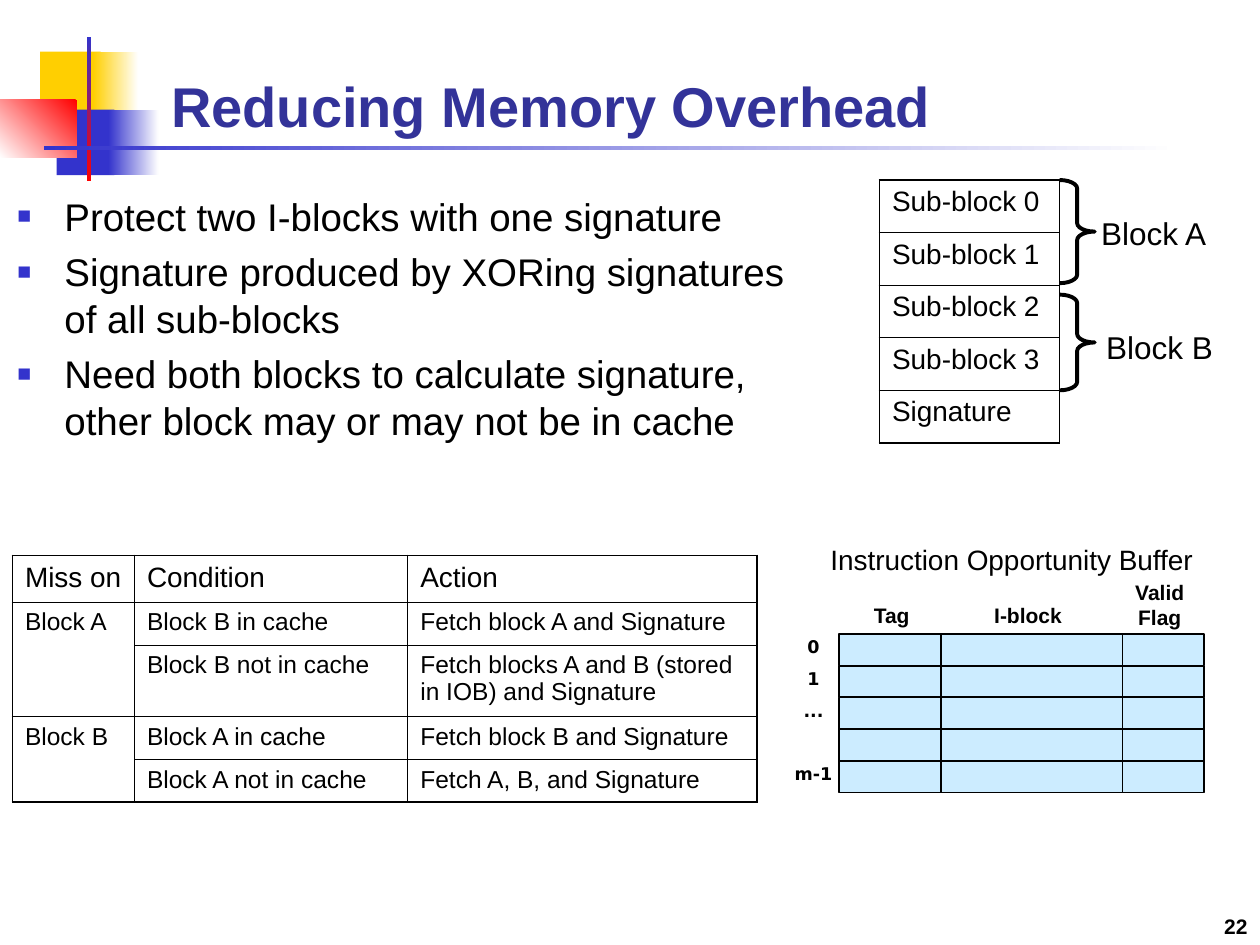
import pptx
import pptx.util
import pptx.dml.color
import pptx.enum.shapes
import pptx.enum.text
import pptx.oxml
import pptx.oxml.ns
import lxml.etree

Cm, Pt = pptx.util.Cm, pptx.util.Pt
SHAPE = pptx.enum.shapes.MSO_SHAPE
ALIGN = pptx.enum.text.PP_ALIGN
ANCHOR = pptx.enum.text.MSO_ANCHOR
qn = pptx.oxml.ns.qn

COLORS = {"yellow": "FFCF01", "blue": "3333CC", "red": "FF0000", "white": "FFFFFF",
          "title": "333399", "text": "000000", "cell": "CCECFF"}

ORNAMENTS = [
    ((0.81, 1.04, 1.22, 1.32), "yellow", None, 0),
    ((1.88, 1.04, 0.91, 1.32), "yellow", "white", 0),
    ((1.14, 2.21, 1.17, 1.32), "blue", None, 0),
    ((2.18, 2.21, 1.02, 1.32), "blue", "white", 0),
    ((0, 2.01, 1.55, 1.17), "red", "white", 225),
    ((1.75, 0.74, 0.09, 2.92), "blue", "red", 270),
    ((0.89, 2.95, 22.86, 0.08), "blue", "white", 0),
]
TITLE = "Reducing Memory Overhead"
BULLETS = [
    "Protect two I-blocks with one signature",
    "Signature produced by XORing signatures\nof all sub-blocks",
    "Need both blocks to calculate signature,\nother block may or may not be in cache",
]
LAYOUT_ROWS = [["Sub-block 0"], ["Sub-block 1"], ["Sub-block 2"], ["Sub-block 3"], ["Signature"]]
BRACES = [
    ("Block A", (21.36, 3.63, 0.71, 2.08), (21.95, 4.19, 2.87, 1.02)),
    ("Block B", (21.36, 5.94, 0.71, 1.93), (22.05, 6.48, 2.87, 1.02)),
]
MISS_ROWS = [
    ["Miss on", "Condition", "Action"],
    ["Block A", "Block B in cache", "Fetch block A and Signature"],
    [None, "Block B not in cache", "Fetch blocks A and B (stored in IOB) and Signature"],
    ["Block B", "Block A in cache", "Fetch block B and Signature"],
    [None, "Block A not in cache", "Fetch A, B, and Signature"],
]
BUFFER_TITLE = "Instruction Opportunity Buffer"
BUFFER_HEADS = [
    ("Tag", (17.02, 12.14, 1.91, 0.51)),
    ("I-block", (18.97, 12.14, 3.51, 0.51)),
    ("Valid\nFlag", (22.58, 11.68, 1.6, 1.02)),
]
BUFFER_COLUMNS = [(16.92, 2.06), (18.97, 3.76), (22.63, 1.65)]
BUFFER_ROWS = ["0", "1", "...", None, "m-1"]
BUFFER_TOP, BUFFER_PITCH = 12.78, 0.64
PAGE = "22"


def rgb(name):
    return pptx.dml.color.RGBColor.from_string(COLORS[name])


def write(p, text, size, bold=False, color="text", font="Arial", before=0, align=ALIGN.LEFT):
    p.alignment = align
    p.space_before = Pt(before)
    for i, line in enumerate(text.split("\n")):
        if i:
            p.add_line_break()
        r = p.add_run()
        r.text = line
        r.font.size = Pt(size)
        r.font.bold = bold
        r.font.name = font
        r.font.color.rgb = rgb(color)


def add_frame(box, inset=True, anchor=ANCHOR.TOP):
    tf = s.shapes.add_textbox(*map(Cm, box)).text_frame
    tf.word_wrap = True
    tf.vertical_anchor = anchor
    if not inset:
        tf.margin_left = tf.margin_right = tf.margin_top = tf.margin_bottom = 0
    return tf


def add_label(box, text, size, inset=True, anchor=ANCHOR.TOP, **style):
    write(add_frame(box, inset, anchor).paragraphs[0], text, size, **style)


def add_preset(kind, box):
    sp = s.shapes.add_shape(kind, *map(Cm, box))
    sp.shadow.inherit = False
    return sp


def add_bullet(p):
    pPr = p._p.get_or_add_pPr()
    pPr.set("marL", str(Cm(0.95)))
    pPr.set("indent", str(-Cm(0.95)))
    clr = lxml.etree.SubElement(pPr, qn("a:buClr"))
    lxml.etree.SubElement(clr, qn("a:srgbClr"), val=COLORS["blue"])
    lxml.etree.SubElement(pPr, qn("a:buSzPct"), val="60000")
    lxml.etree.SubElement(pPr, qn("a:buFont"), typeface="Arial")
    lxml.etree.SubElement(pPr, qn("a:buChar"), char="■")


def set_borders(cell, outer):
    tcPr = cell._tc.get_or_add_tcPr()
    for side, is_outer in zip("LRTB", outer):
        width = Pt(1.08 if is_outer else 0.45)
        ln = lxml.etree.SubElement(tcPr, qn("a:ln" + side), w=str(width))
        fill = lxml.etree.SubElement(ln, qn("a:solidFill"))
        lxml.etree.SubElement(fill, qn("a:srgbClr"), val=COLORS["text"])


def add_grid(left, top, widths, heights, rows, sizes):
    frame = s.shapes.add_table(len(rows), len(widths), Cm(left), Cm(top),
                               Cm(sum(widths)), Cm(sum(heights)))
    table = frame.table
    table.first_row = table.horz_banding = False
    for column, width in zip(table.columns, widths):
        column.width = Cm(width)
    for row, height in zip(table.rows, heights):
        row.height = Cm(height)
    for i, row in enumerate(rows):
        for j, text in enumerate(row):
            if text is None:
                table.cell(i - 1, j).merge(table.cell(i, j))
    for i, row in enumerate(rows):
        for j, text in enumerate(row):
            cell = table.cell(i, j)
            bottom = i + (cell.span_height if cell.is_merge_origin else 1)
            set_borders(cell, (j == 0, j == len(widths) - 1, i == 0, bottom == len(rows)))
            cell.fill.background()
            if text is not None:
                write(cell.text_frame.paragraphs[0], text, sizes[i], before=sizes[i] / 4)


prs = pptx.Presentation()
prs.slide_width, prs.slide_height = Cm(25.4), Cm(19.05)
s = prs.slides.add_slide(prs.slide_layouts[6])

for box, start, end, angle in ORNAMENTS:
    sp = add_preset(SHAPE.RECTANGLE, box)
    sp.line.fill.background()
    if end is None:
        sp.fill.solid()
        sp.fill.fore_color.rgb = rgb(start)
    else:
        sp.fill.gradient()
        sp.fill.gradient_angle = angle
        for stop, position, name in zip(sp.fill.gradient_stops, (0, 1), (start, end)):
            stop.position = position
            stop.color.rgb = rgb(name)

add_label((3.2, 0.43, 21.64, 2.49), TITLE, 32, anchor=ANCHOR.BOTTOM, bold=True, color="title")

tf = add_frame((0.1, 3.76, 20.29, 13.82))
for i, text in enumerate(BULLETS):
    p = tf.add_paragraph() if i else tf.paragraphs[0]
    write(p, text, 22, before=5.5)
    add_bullet(p)

add_grid(17.73, 3.63, [3.63], [1.06] * 5, LAYOUT_ROWS, [16] * 5)
for text, brace_box, label_box in BRACES:
    sp = add_preset(SHAPE.RIGHT_BRACE, brace_box)
    sp.adjustments[0] = 0.24
    sp.fill.background()
    sp.line.color.rgb = rgb("text")
    sp.line.width = Pt(2.25)
    add_label(label_box, text, 18, before=11.2)

add_grid(0.25, 11.2, [2.46, 5.51, 7.04], [0.94, 0.86, 1.45, 0.86, 0.86],
         MISS_ROWS, [16] + [14] * 4)

for text, box in BUFFER_HEADS:
    add_label(box, text, 12, inset=False, bold=True, before=7.5, align=ALIGN.CENTER)
for i, text in enumerate(BUFFER_ROWS):
    y = BUFFER_TOP + i * BUFFER_PITCH
    for x, width in BUFFER_COLUMNS:
        sp = add_preset(SHAPE.RECTANGLE, (x, y, width, BUFFER_PITCH))
        sp.fill.solid()
        sp.fill.fore_color.rgb = rgb("cell")
        sp.line.color.rgb = rgb("text")
        sp.line.width = Pt(1)
    if text:
        add_label((15.93, y + 0.05, 0.94, 0.43), text, 10, inset=False, bold=True,
                  font="DejaVu Sans", before=6.2, align=ALIGN.CENTER)
add_label((15.39, 10.82, 10.01, 0.94), BUFFER_TITLE, 16, before=10, align=ALIGN.CENTER)
add_label((20.12, 17.78, 5.28, 1.27), PAGE, 12, anchor=ANCHOR.BOTTOM, bold=True, align=ALIGN.RIGHT)

prs.save("out.pptx")
